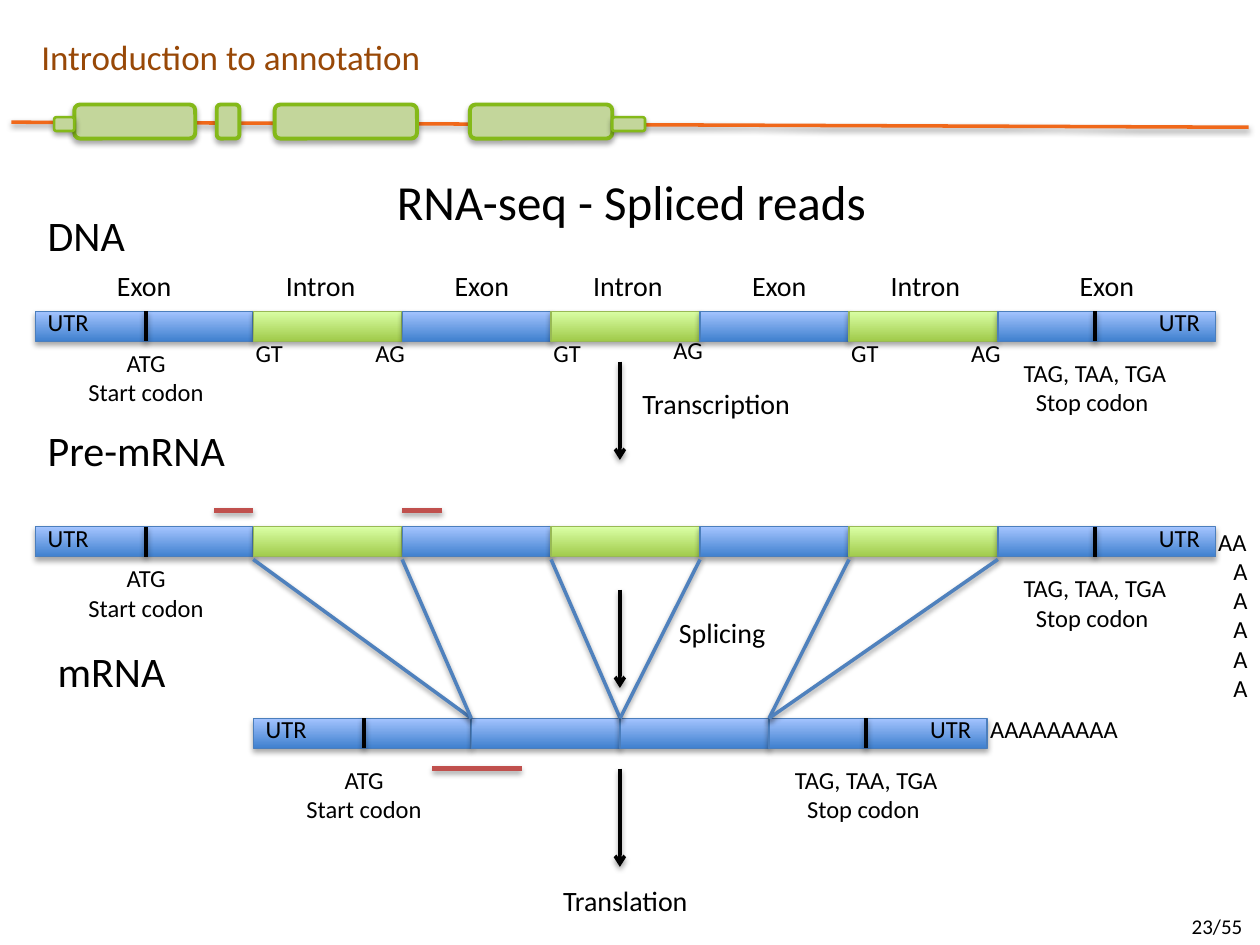
from lxml import etree
from pptx import Presentation
from pptx.dml.color import RGBColor
from pptx.enum.shapes import MSO_CONNECTOR, MSO_SHAPE
from pptx.enum.text import MSO_ANCHOR, PP_ALIGN
from pptx.oxml.ns import qn
from pptx.util import Inches, Pt

STRAIGHT = MSO_CONNECTOR.STRAIGHT
RECT, ROUNDED = MSO_SHAPE.RECTANGLE, MSO_SHAPE.ROUNDED_RECTANGLE
LEFT, CENTER = PP_ALIGN.LEFT, PP_ALIGN.CENTER
TOP, MIDDLE = MSO_ANCHOR.TOP, MSO_ANCHOR.MIDDLE

FONT = "Calibri"
COLORS = {
    "text": "000000", "header": "984807", "rule": "F0681A",
    "gene": "C3D69B", "gene_edge": "84B919",
    "splice": "4F81BD", "read": "C0504D",
}
SEGMENT_STYLES = {
    "exon": ("3F80CE", "A4C4FF", "4B7EBC"),
    "intron": ("A0CA4A", "DAFFA5", "98B955"),
}

GENE_BOXES = [
    (0.59, 0.83, 0.96, 0.27, 2.25), (1.72, 0.83, 0.18, 0.27, 2.25),
    (2.18, 0.83, 1.13, 0.27, 2.25), (3.73, 0.83, 1.13, 0.27, 2.25),
    (4.86, 0.93, 0.26, 0.11, 1.5), (0.43, 0.93, 0.16, 0.11, 1.5),
]
GENOMIC = ["exon", "intron"] * 3 + ["exon"]
SPLICED = ["exon"] * 4
STRANDS = {
    "DNA": (0.28, 2.47, GENOMIC, 0),
    "Pre-mRNA": (0.28, 4.18, GENOMIC, 0),
    "mRNA": (2.01, 5.7, SPLICED, 0.08),
}
STRAND_NAMES = [("DNA", 0.28, 1.61, 0.82), ("Pre-mRNA", 0.28, 3.32, 1.63),
                ("mRNA", 0.36, 5.07, 1.07)]
SEGMENT_LABELS = [("Exon", 0.83), ("Intron", 2.17), ("Exon", 3.51), ("Intron", 4.61),
                  ("Exon", 5.87), ("Intron", 6.97), ("Exon", 8.47)]
STEPS = [("Transcription", 5, 3.02, 1.41, 2.87), ("Splicing", 5.29, 4.84, 0.9, 4.68),
         ("Translation", 4.37, 6.96, 1.22, 6.1)]
READS = [(3.43, 4.14, 6.1), (1.7, 2.01, 4.05), (3.19, 3.51, 4.05)]
ACCEPTOR_TOPS = [2.63, 2.61, 2.63]
START_CODON = ["ATG", "Start codon"]
STOP_CODON = ["TAG, TAA, TGA", "Stop codon "]

END_WIDTH, INNER_WIDTH, STRAND_HEIGHT = 1.73, 1.182, 0.24
START_OFFSET, STOP_OFFSET = 0.88, 0.96
ARROW_X, ARROW_LENGTH = 4.92, 0.78

prs = Presentation()
prs.slide_width, prs.slide_height = Inches(10), Inches(7.5)
slide = prs.slides.add_slide(prs.slide_layouts[6])


def rgb(name):
    return RGBColor.from_string(COLORS.get(name, name))


def add_shadow(effects, distance, opacity):
    shadow = etree.SubElement(effects, qn("a:outerShdw"), blurRad="40000",
                              dist=str(distance), dir="5400000", rotWithShape="0")
    black = etree.SubElement(shadow, qn("a:srgbClr"), val="000000")
    etree.SubElement(black, qn("a:alpha"), val=str(opacity * 1000))


def add_line(x1, y1, x2, y2, color, width=2, arrow=False, shadow=(20000, 38)):
    line = slide.shapes.add_connector(STRAIGHT, Inches(x1), Inches(y1), Inches(x2), Inches(y2))
    line.line.color.rgb = rgb(color)
    line.line.width = Pt(width)
    if arrow:
        etree.SubElement(line.line._get_or_add_ln(), qn("a:tailEnd"), type="arrow")
    add_shadow(etree.SubElement(line._element.spPr, qn("a:effectLst")), *shadow)


def add_box(kind, x, y, width, height, edge, edge_width):
    box = slide.shapes.add_shape(kind, Inches(x), Inches(y), Inches(width), Inches(height))
    box.line.color.rgb = rgb(edge)
    box.line.width = Pt(edge_width)
    box.shadow.inherit = False
    add_shadow(box._element.spPr.find(qn("a:effectLst")), 23000, 35)
    return box


def add_text(lines, x, y, width, height, size, align=LEFT, color="text", wrap=False, anchor=TOP):
    frame = slide.shapes.add_textbox(Inches(x), Inches(y), Inches(width), Inches(height)).text_frame
    frame.word_wrap = wrap
    frame.vertical_anchor = anchor
    frame.text = "\n".join(lines)
    for paragraph in frame.paragraphs:
        paragraph.alignment = align
        paragraph.font.name = FONT
        paragraph.font.size = Pt(size)
        paragraph.font.color.rgb = rgb(color)


def strand_edges(left, kinds):
    inner = [left + END_WIDTH + INNER_WIDTH * i for i in range(len(kinds) - 1)]
    return [left, *inner, inner[-1] + END_WIDTH]


def add_strand(left, top, kinds, start_gap):
    edges = strand_edges(left, kinds)
    end, bottom = edges[-1], top + STRAND_HEIGHT
    for kind, x, next_x in zip(kinds, edges, edges[1:]):
        dark, light, edge = SEGMENT_STYLES[kind]
        segment = add_box(RECT, x, top, next_x - x, STRAND_HEIGHT, edge, 0.75)
        segment.fill.gradient()
        segment.fill.gradient_angle = 90
        for stop, color in zip(segment.fill.gradient_stops, (dark, light)):
            stop.color.rgb = rgb(color)
    for x in (left, end - 0.55):
        add_text(["UTR"], x, top - 0.08, 0.53, 0.34, 14)
    for codon, x, width, gap in [(START_CODON, left + START_OFFSET, 1.13, start_gap),
                                 (STOP_CODON, end - STOP_OFFSET, 1.38, 0.08)]:
        add_line(x, top, x, bottom, "text")
        add_text(codon, x - width / 2, bottom + gap, width, 0.57, 14, CENTER)


add_line(0.09, 0.97, 9.91, 1.01, "rule")
for *place, edge_width in GENE_BOXES:
    gene_box = add_box(ROUNDED, *place, "gene_edge", edge_width)
    gene_box.fill.solid()
    gene_box.fill.fore_color.rgb = rgb("gene")
add_text(["Introduction to annotation"], 0.23, 0.23, 3.25, 0.44, 20, color="header")
add_text(["RNA-seq - Spliced reads"], 0.51, 1.28, 9, 0.63, 28, CENTER, wrap=True, anchor=MIDDLE)

for strand in STRANDS.values():
    add_strand(*strand)
for name, x, y, width in STRAND_NAMES:
    add_text([name], x, y, width, 0.51, 24)
for label, x in SEGMENT_LABELS:
    add_text([label], x, 2.08, 0.77 if label == "Intron" else 0.65, 0.37, 16)

genomic_edges = strand_edges(0.28, GENOMIC)[1:-1]
junctions = strand_edges(2.01, SPLICED)[1:-1]
for i, (junction, acceptor_top) in enumerate(zip(junctions, ACCEPTOR_TOPS)):
    donor, acceptor = genomic_edges[2 * i:2 * i + 2]
    add_text(["GT"], donor - 0.08, 2.63, 0.43, 0.34, 14)
    add_text(["AG"], acceptor - 0.31, acceptor_top, 0.44, 0.34, 14)
    for x in (donor, acceptor):
        add_line(x, 4.44, junction, 5.7, "splice")

for step, x, y, width, arrow_top in STEPS:
    add_line(ARROW_X, arrow_top, ARROW_X, arrow_top + ARROW_LENGTH, "text", arrow=True)
    add_text([step], x, y, width, 0.37, 16)
for x1, x2, y in READS:
    add_line(x1, y, x2, y, "read", 3, shadow=(23000, 35))

add_text(["AA"], 9.57, 4.13, 0.43, 0.34, 14)
add_text(["AAAAA"], 9.69, 4.36, 0.24, 1.28, 14, wrap=True)
add_text(["AAAAAAAAA"], 7.76, 5.62, 1.23, 0.34, 14)
add_text(["23/55"], 9.36, 7.2, 0.64, 0.3, 12, wrap=True, anchor=MIDDLE)

prs.save("out.pptx")
